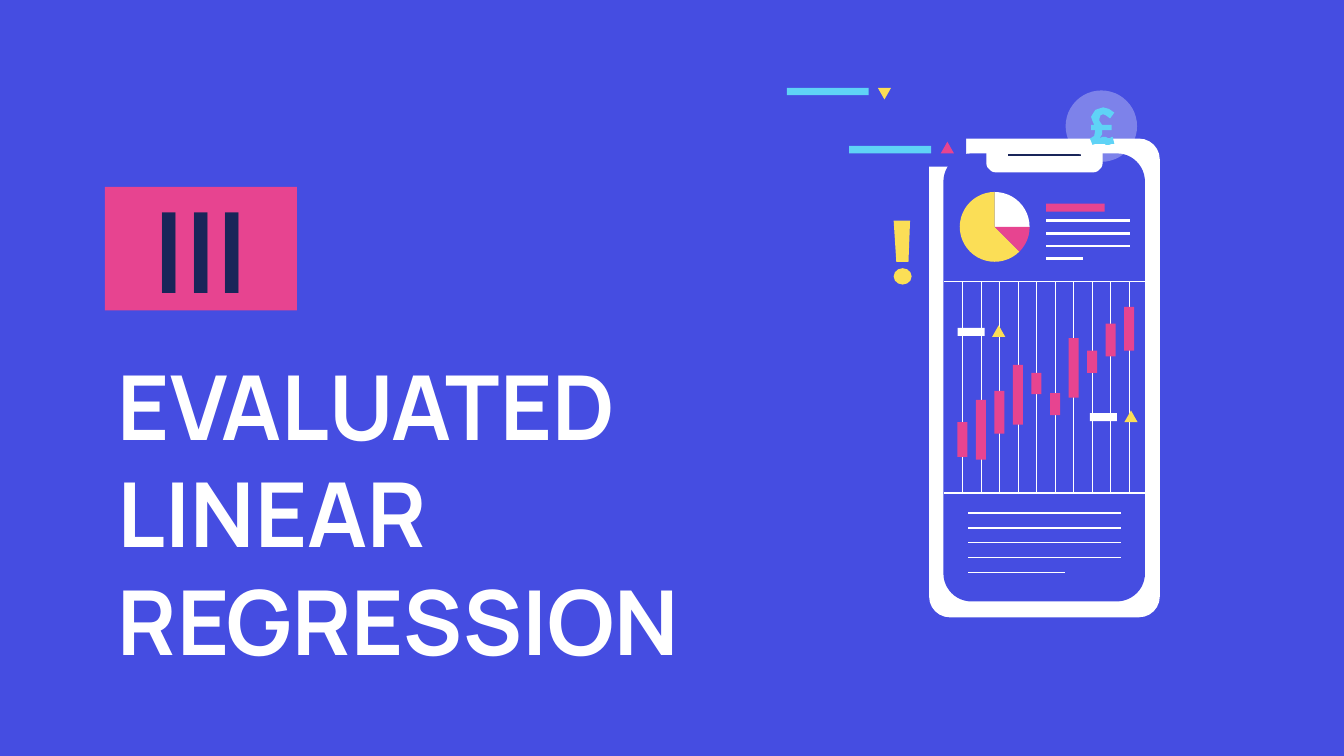
import lxml.etree
import pptx
import pptx.dml.color
import pptx.enum.shapes
import pptx.enum.text
import pptx.oxml.ns
import pptx.util

Cm, Pt = pptx.util.Cm, pptx.util.Pt
RGBColor = pptx.dml.color.RGBColor
SHAPE = pptx.enum.shapes.MSO_SHAPE
ALIGN = pptx.enum.text.PP_ALIGN
ANCHOR = pptx.enum.text.MSO_ANCHOR
qn = pptx.oxml.ns.qn

BLUE = RGBColor(0x45, 0x4D, 0xE1)
PINK = RGBColor(0xE7, 0x44, 0x90)
NAVY = RGBColor(0x19, 0x25, 0x59)
CYAN = RGBColor(0x5F, 0xD3, 0xF6)
YELLOW = RGBColor(0xFB, 0xDE, 0x56)
WHITE = RGBColor(0xFF, 0xFF, 0xFF)
FONT = "Manrope"

# All places and sizes are in centimetres.
TITLE = ("EVALUATED LINEAR REGRESSION", (1.98, 6.38, 11.18, 2.34), 48, WHITE)
NUMBER = ("III", (1.98, 3.53, 3.63, 2.34), 60, NAVY)

PIE_BOX = (18.14, 3.63, 1.32, 1.32)
PIE_SLICES = [(270, 0, WHITE), (45, 270, YELLOW), (0, 45, PINK)]  # degrees

# left, first y, step, line lengths, weight in points
TEXT_LINES = [
    (18.3, 9.7, 0.28, [2.88] * 4 + [1.83], 0.75),
    (19.77, 4.17, 0.24, [1.58] * 3 + [0.7], 1.3),
    (17.84, 5.32, 4.0, [3.82] * 2, 0.9),
]

CANDLES = [  # top, height
    (7.98, 0.66), (7.56, 1.13), (7.39, 0.81), (6.9, 1.13), (7.05, 0.4),
    (7.43, 0.42), (6.39, 1.13), (6.63, 0.42), (6.12, 0.62), (5.8, 0.83),
]
CANDLE_START, CANDLE_STEP, CANDLE_WIDTH = 18.19, 0.35, 0.19
GRID_TOP, GRID_BOTTOM = 5.32, 9.32

# bar box, bar colour, marker left and top, marker colour, marker rotation
MARKED_BARS = [
    ((18.1, 6.2, 0.51, 0.15), WHITE, (18.75, 6.15), YELLOW, 0),
    ((20.6, 7.81, 0.51, 0.15), WHITE, (21.25, 7.76), YELLOW, 0),
    ((16.05, 2.76, 1.55, 0.14), CYAN, (17.78, 2.68), PINK, 0),
    ((14.87, 1.66, 1.55, 0.14), CYAN, (16.59, 1.66), YELLOW, 180),
]
MARKER_SIZE = (0.25, 0.22)

EXCLAMATION_STEM = [(16.89, 4.17), (17.2, 4.17), (17.17, 4.95), (16.94, 4.95)]
POUND = [
    (20.85, 2.03), (20.75, 2.06), (20.7, 2.08), (20.65, 2.16), (20.62, 2.21),
    (20.65, 2.29), (20.68, 2.36), (20.62, 2.36), (20.62, 2.46), (20.7, 2.46),
    (20.68, 2.57), (20.6, 2.62), (20.65, 2.74), (20.7, 2.72), (20.88, 2.72),
    (20.9, 2.74), (20.96, 2.74), (21.01, 2.72), (21.06, 2.72), (21.03, 2.59),
    (21.01, 2.59), (20.96, 2.62), (20.9, 2.59), (20.83, 2.59), (20.78, 2.62),
    (20.83, 2.54), (20.83, 2.46), (21.01, 2.46), (21.01, 2.36), (20.83, 2.36),
    (20.78, 2.29), (20.78, 2.24), (20.8, 2.18), (20.85, 2.16), (20.9, 2.18),
    (20.98, 2.24), (21.06, 2.13), (20.96, 2.06),
]

deck = pptx.Presentation()
deck.slide_width, deck.slide_height = Cm(25.4), Cm(14.29)
page = deck.slides.add_slide(deck.slide_layouts[0])
page.background.fill.solid()
page.background.fill.fore_color.rgb = BLUE


def paint(shape, color):
    shape.shadow.inherit = False
    shape.fill.solid()
    shape.fill.fore_color.rgb = color
    shape.line.fill.background()
    return shape


def add(kind, box, color, adjustments=()):
    shape = page.shapes.add_shape(kind, *map(Cm, box))
    for index, value in enumerate(adjustments):
        shape.adjustments[index] = value
    return paint(shape, color)


def add_outline(points, color):
    corners = [(Cm(x), Cm(y)) for x, y in points]
    builder = page.shapes.build_freeform(*corners[0])
    builder.add_line_segments(corners[1:])
    return paint(builder.convert_to_shape(), color)


def add_line(x1, y1, x2, y2, weight, color=WHITE):
    line = page.shapes.add_connector(
        pptx.enum.shapes.MSO_CONNECTOR.STRAIGHT, *map(Cm, (x1, y1, x2, y2)))
    line.line.color.rgb = color
    line.line.width = Pt(weight)
    lxml.etree.SubElement(line._element.spPr, qn("a:effectLst"))


def fill_placeholder(holder, content, align, anchor):
    text, box, size, color = content
    holder.left, holder.top, holder.width, holder.height = map(Cm, box)
    frame = holder.text_frame
    frame.text = text
    frame.word_wrap = True
    frame.auto_size = pptx.enum.text.MSO_AUTO_SIZE.NONE
    frame.vertical_anchor = anchor
    frame.margin_left = frame.margin_right = Cm(0.25)
    frame.margin_top = frame.margin_bottom = Cm(0.25)
    para = frame.paragraphs[0]
    para.alignment = align
    para.space_before = Pt(0)
    para.font.name, para.font.size, para.font.bold = FONT, Pt(size), True
    para.font.color.rgb = color


title, number = page.placeholders
fill_placeholder(title, TITLE, ALIGN.LEFT, ANCHOR.TOP)
fill_placeholder(number, NUMBER, ALIGN.CENTER, ANCHOR.MIDDLE)
number.fill.solid()
number.fill.fore_color.rgb = PINK

# Phone body, screen, notch and speaker
add(SHAPE.ROUNDED_RECTANGLE, (17.56, 2.62, 4.36, 9.05), WHITE, [0.09])
add(SHAPE.ROUNDED_RECTANGLE, (17.83, 2.9, 3.81, 8.47), BLUE, [0.14])
add(SHAPE.ROUND_2_SAME_RECTANGLE, (18.64, 2.89, 2.2, 0.37), WHITE, [0, 0.5])
add_line(19.05, 2.93, 20.43, 2.93, 1.2, NAVY)

# Screen content
for start, end, color in PIE_SLICES:
    # angles are stored in 1/60000 degree, adjustments in 1/100000
    add(SHAPE.PIE, PIE_BOX, color, [start * 0.6, end * 0.6])
add(SHAPE.RECTANGLE, (19.77, 3.85, 1.11, 0.15), PINK)
for left, first, step, lengths, weight in TEXT_LINES:
    for row, length in enumerate(lengths):
        y = first + row * step
        add_line(left, y, left + length, y, weight)

for column, (top, height) in enumerate(CANDLES):
    x = CANDLE_START + column * CANDLE_STEP
    add_line(x, GRID_TOP, x, GRID_BOTTOM, 0.4)
    add(SHAPE.RECTANGLE, (x - CANDLE_WIDTH / 2, top, CANDLE_WIDTH, height), PINK)

# Label panel that cuts into the phone, then all bars with markers
add(SHAPE.ROUNDED_RECTANGLE, (15.82, 2.54, 2.44, 0.61), BLUE, [0.14])
for bar, bar_color, corner, marker_color, rotation in MARKED_BARS:
    add(SHAPE.RECTANGLE, bar, bar_color)
    marker = add(SHAPE.ISOSCELES_TRIANGLE, corner + MARKER_SIZE, marker_color)
    marker.rotation = rotation

# Coin and exclamation mark
coin = add(SHAPE.OVAL, (20.14, 1.71, 1.35, 1.35), WHITE)
coin_color = coin._element.spPr.find(".//" + qn("a:srgbClr"))
lxml.etree.SubElement(coin_color, qn("a:alpha")).set("val", "30000")
add_outline(POUND, CYAN)
add_outline(EXCLAMATION_STEM, YELLOW)
add(SHAPE.OVAL, (16.89, 5.07, 0.34, 0.31), YELLOW)

deck.save("out.pptx")
